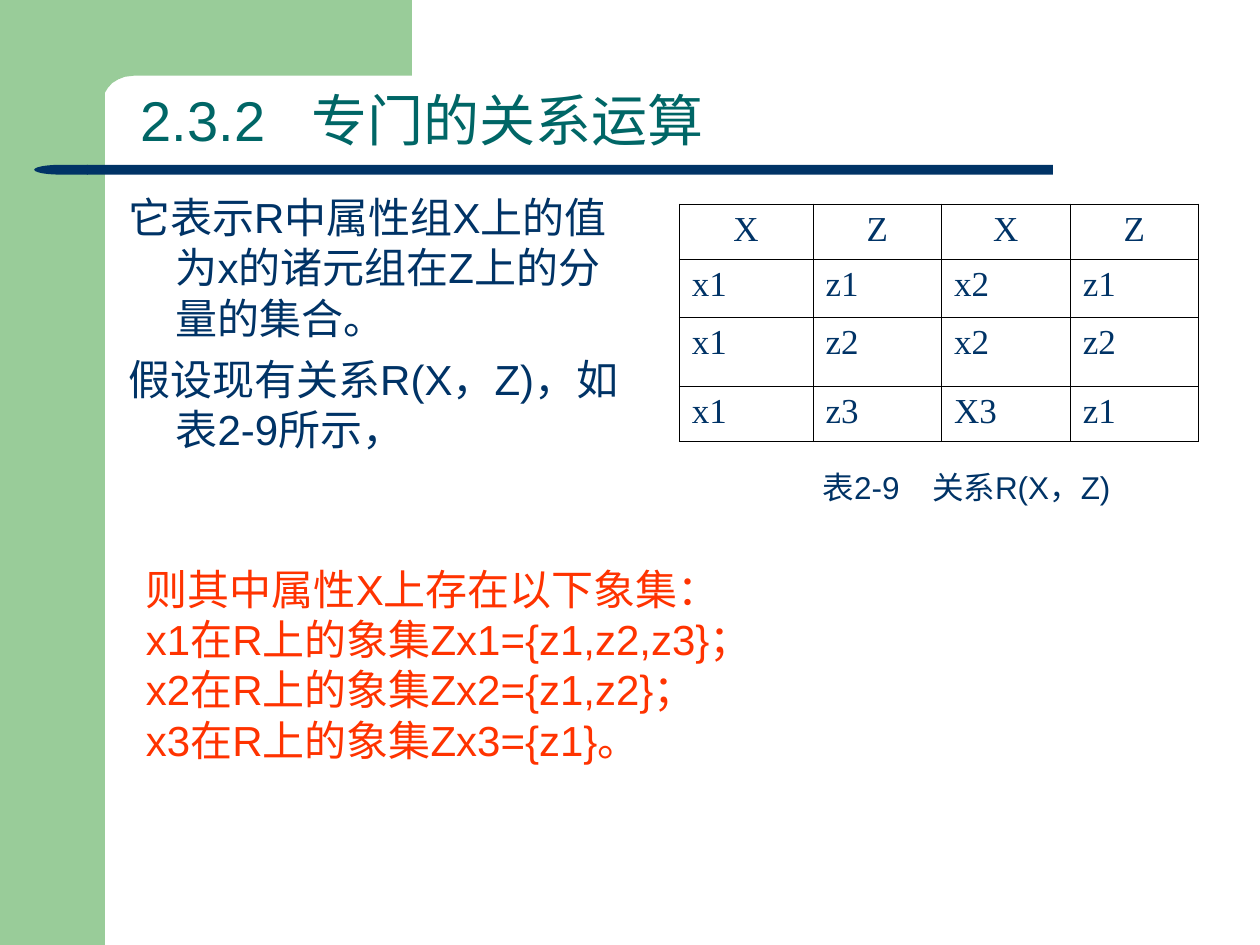
from dataclasses import dataclass
from lxml.etree import SubElement
from pptx import Presentation
from pptx.dml.color import RGBColor
from pptx.enum.shapes import MSO_SHAPE
from pptx.enum.text import MSO_ANCHOR, PP_ALIGN
from pptx.oxml.ns import qn
from pptx.util import Pt


@dataclass(frozen=True)
class Theme:
    green: str = "99CC99"
    navy: str = "003366"
    teal: str = "006666"
    red: str = "FF3300"
    black: str = "000000"
    sans: str = "Arial"
    serif: str = "Times New Roman"
    title: int = 32
    body: int = 24
    cell: int = 20
    note: int = 18


class Deck:
    def __init__(self, theme, slide):
        self.theme = theme
        self.slide = slide

    def paint(self, shape, color):
        shape.shadow.inherit = False
        shape.fill.solid()
        shape.fill.fore_color.rgb = RGBColor.from_string(color)
        shape.line.fill.background()
        return shape

    def shape(self, kind, box, color):
        item = self.slide.shapes.add_shape(kind, *map(Pt, box))
        return self.paint(item, color)

    def outline(self, points, color):
        start, *rest = [(Pt(x), Pt(y)) for x, y in points]
        build = self.slide.shapes.build_freeform(*start)
        build.add_line_segments(rest, close=True)
        return self.paint(build.convert_to_shape(), color)

    def font(self, par, size, color, face):
        par.font.size = Pt(size)
        par.font.name = face
        par.font.color.rgb = RGBColor.from_string(color)

    def text(self, box, lines, size, color, anchor=MSO_ANCHOR.TOP,
             wrap=True, hang=0, gap=0, lead=None, tab=None):
        frame = self.slide.shapes.add_textbox(*map(Pt, box)).text_frame
        frame.word_wrap = wrap
        frame.vertical_anchor = anchor
        frame.text = "\n".join(lines)
        for index, par in enumerate(frame.paragraphs):
            props = par._p.get_or_add_pPr()
            if hang:
                props.set("marL", str(Pt(hang)))
                props.set("indent", str(-Pt(hang)))
            if tab:
                stops = SubElement(props, qn("a:tabLst"))
                SubElement(stops, qn("a:tab"), pos=str(Pt(tab)), algn="l")
            if lead:
                par.line_spacing = lead
            if index and gap:
                par.space_before = Pt(gap)
            self.font(par, size, color, self.theme.sans)

    def border(self, cell, widths):
        props = cell._tc.get_or_add_tcPr()
        for side, width in zip("LRTB", widths):
            line = SubElement(props, qn(f"a:ln{side}"), w=str(Pt(width)))
            fill = SubElement(line, qn("a:solidFill"))
            SubElement(fill, qn("a:srgbClr"), val=self.theme.black)

    def table(self, spot, cols, rows, data, thin, thick):
        size = sum(cols), sum(rows)
        grid = self.slide.shapes.add_table(
            len(rows), len(cols), *map(Pt, (*spot, *size))).table
        grid.first_row = grid.horz_banding = False
        for col, width in zip(grid.columns, cols):
            col.width = Pt(width)
        for row, height in zip(grid.rows, rows):
            row.height = Pt(height)
        half = len(cols) // 2
        for r, line in enumerate(data):
            for c, word in enumerate(line):
                cell = grid.cell(r, c)
                cell.text = word
                left = thick if c == half else thin
                right = thick if c == half - 1 else thin
                self.border(cell, (left, right, thin, thin))
                cell.fill.background()
                par = cell.text_frame.paragraphs[0]
                par.alignment = PP_ALIGN.LEFT if r else PP_ALIGN.CENTER
                self.font(par, self.theme.cell, self.theme.navy,
                          self.theme.serif)


def main():
    show = Presentation()
    show.slide_width, show.slide_height = Pt(720), Pt(540)
    theme = Theme()
    deck = Deck(theme, show.slides.add_slide(show.slide_layouts[6]))

    deck.shape(MSO_SHAPE.RECTANGLE, (0, 0, 60, 540), theme.green)
    curve = [(77, 43.2), (71.3, 43.9), (67.5, 45.4), (64.1, 47.5),
             (61.7, 50.2), (59.8, 53.3), (58.7, 56.4), (58.3, 59.8)]
    deck.outline([(36, 0), (235.4, 0), (235.4, 43.2), *curve,
                  (58.3, 65.5), (36, 65.5)], theme.green)
    bar = deck.shape(MSO_SHAPE.ROUNDED_RECTANGLE, (49.7, 94.2, 552, 5.6),
                     theme.navy)
    bar.adjustments[0] = 0
    tip = deck.shape(MSO_SHAPE.FLOWCHART_DELAY, (19.6, 94.2, 30.6, 5.6),
                     theme.navy)
    tip._element.spPr.xfrm.set("flipH", "1")

    deck.text((73.4, 51.8, 589.7, 39.6), ["2.3.2\t专门的关系运算"],
              theme.title, theme.teal, MSO_ANCHOR.BOTTOM, lead=0.9, tab=97.5)
    deck.text((66.2, 105.8, 296.6, 164.2),
              ["它表示R中属性组X上的值为x的诸元组在Z上的分量的集合。",
               "假设现有关系R(X，Z)，如表2-9所示，"],
              theme.body, theme.navy, hang=27, gap=6)
    deck.table((388.1, 116.6), (76.5, 73.5, 73.5, 73.5),
               (31.5, 33, 39.5, 31.5),
               [("X", "Z", "X", "Z"), ("x1", "z1", "x2", "z1"),
                ("x1", "z2", "x2", "z2"), ("x1", "z3", "X3", "z1")],
               0.45, 0.96)
    deck.text((463, 264.2, 191.5, 28.8), ["表2-9\t关系R(X，Z)"],
              theme.note, theme.navy, wrap=False, tab=62.5)
    deck.text((76.3, 318.2, 561.6, 122.4),
              ["则其中属性X上存在以下象集：",
               "x1在R上的象集Zx1={z1,z2,z3}；",
               "x2在R上的象集Zx2={z1,z2}；",
               "x3在R上的象集Zx3={z1}。"],
              theme.body, theme.red, MSO_ANCHOR.MIDDLE)
    show.save("out.pptx")


if __name__ == "__main__":
    main()
